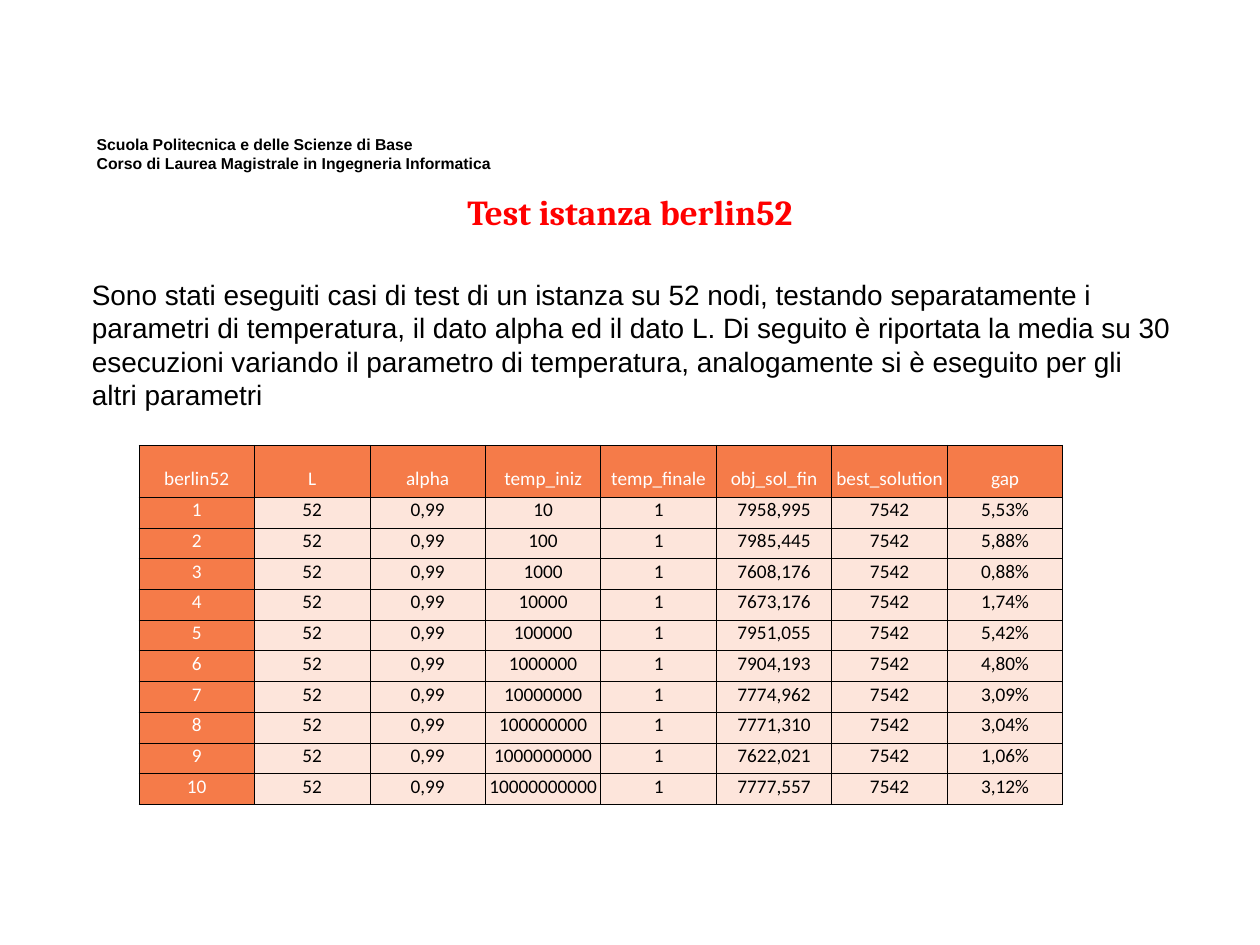
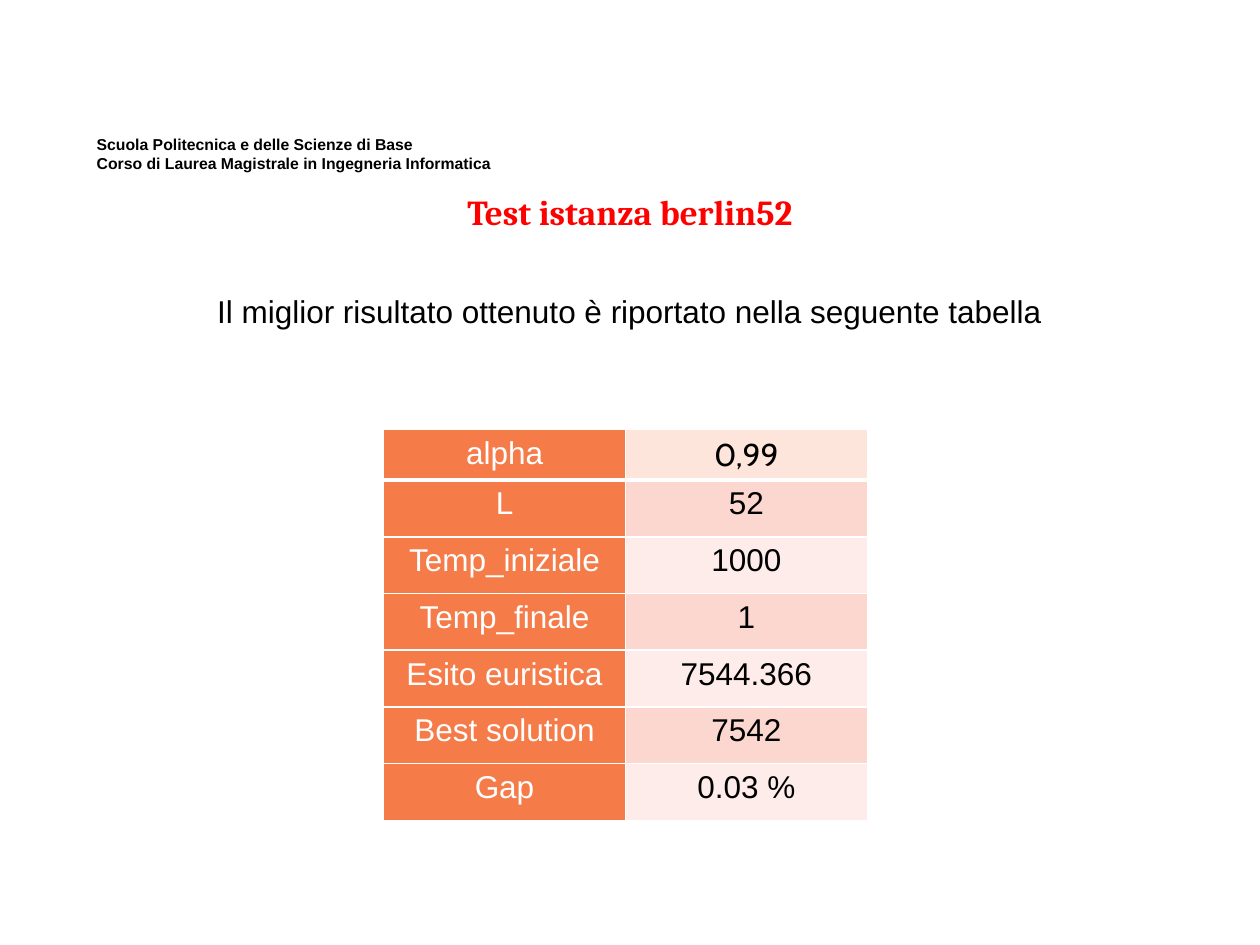
from lxml.etree import SubElement
from pptx import Presentation
from pptx.dml.color import RGBColor
from pptx.enum.text import MSO_ANCHOR as Anchor, PP_ALIGN as Align
from pptx.oxml.ns import qn
from pptx.util import Pt

COLOURS = {
    "title": "FF0000",
    "text": "000000",
    "white": "FFFFFF",
    "orange": "F57B49",
    "peach": "FDE5DB",
    "band_dark": "FBD7D0",
    "band_light": "FDECE9",
}

SCHOOL = ("Scuola Politecnica e delle Scienze di Base\n"
          "Corso di Laurea Magistrale in Ingegneria Informatica")
TITLE = "Test istanza berlin52"

TEST_INTRO = (
    "Sono stati eseguiti casi di test di un istanza su 52 nodi, testando "
    "separatamente i parametri di temperatura, il dato alpha ed il dato L. "
    "Di seguito è riportata la media su 30 esecuzioni variando il parametro "
    "di temperatura, analogamente si è eseguito per gli altri parametri"
)
TEST_HEADINGS = ["berlin52", "L", "alpha", "temp_iniz", "temp_finale",
                 "obj_sol_fin", "best_solution", "gap"]
# Average solution and gap; the starting temperature grows tenfold each row.
TEST_RESULTS = [
    ("7958,995", "5,53%"),
    ("7985,445", "5,88%"),
    ("7608,176", "0,88%"),
    ("7673,176", "1,74%"),
    ("7951,055", "5,42%"),
    ("7904,193", "4,80%"),
    ("7774,962", "3,09%"),
    ("7771,310", "3,04%"),
    ("7622,021", "1,06%"),
    ("7777,557", "3,12%"),
]

BEST_INTRO = "Il miglior risultato ottenuto è riportato nella seguente tabella"
BEST_RESULT = [
    ("alpha", "0,99"),
    ("L", "52"),
    ("Temp_iniziale", "1000"),
    ("Temp_finale", "1"),
    ("Esito euristica", "7544.366"),
    ("Best solution", "7542"),
    ("Gap", "0.03 %"),
]


def rgb(name):
    return RGBColor.from_string(COLOURS[name])


def write(frame, text, size=18, font="Arial", colour="text", bold=False,
          align=Align.LEFT):
    """Fill a text frame, one paragraph per line of text."""
    frame.word_wrap = True
    frame.text = text
    for para in frame.paragraphs:
        para.alignment = align
        for span in para.runs:
            span.font.size = Pt(size)
            span.font.name = font
            span.font.bold = bold
            span.font.color.rgb = rgb(colour)


def add_text(page, text, left, top, width, height, **style):
    box = page.shapes.add_textbox(Pt(left), Pt(top), Pt(width), Pt(height))
    write(box.text_frame, text, **style)


def add_page(deck):
    """Add a slide with the school heading and the shared title."""
    page = deck.slides.add_slide(deck.slide_layouts[5])
    title = page.shapes.title
    title.left, title.top, title.width, title.height = map(Pt, (36, 102.2, 648, 37.4))
    title.text_frame.vertical_anchor = Anchor.MIDDLE
    write(title.text_frame, TITLE, size=20, font="Cambria", colour="title",
          bold=True, align=Align.CENTER)
    add_text(page, SCHOOL, 48.2, 73.4, 300, 28.8, size=9, bold=True)
    return page


def add_grid(page, left, top, column_width, row_heights, column_count):
    """Add an unstyled table with equal columns."""
    table = page.shapes.add_table(
        len(row_heights), column_count, Pt(left), Pt(top),
        Pt(column_width * column_count), Pt(sum(row_heights))).table
    table.first_row = table.horz_banding = False
    for column in table.columns:
        column.width = Pt(column_width)
    for row, height in zip(table.rows, row_heights):
        row.height = Pt(height)
    return table


def format_cell(cell, fill, border, **widths):
    """Draw the borders, with widths by side (L, R, T, B), then the fill."""
    properties = cell._tc.get_or_add_tcPr()
    for side in "LRTB":
        line = SubElement(properties, qn(f"a:ln{side}"), w=str(Pt(widths[side])))
        paint = SubElement(line, qn("a:solidFill"))
        SubElement(paint, qn("a:srgbClr"), val=COLOURS[border])
    cell.fill.solid()
    cell.fill.fore_color.rgb = rgb(fill)


def add_test_page(deck):
    page = add_page(deck)
    add_text(page, TEST_INTRO, 45.4, 154.8, 633, 85, size=16)

    rows = [TEST_HEADINGS]
    for number, (solution, gap) in enumerate(TEST_RESULTS, 1):
        rows.append([str(number), "52", "0,99", str(10 ** number), "1",
                     solution, "7542", gap])
    heights = [29.8] + [17.55] * len(TEST_RESULTS)
    table = add_grid(page, 79.4, 254.4, 66, heights, len(TEST_HEADINGS))
    for r, values in enumerate(rows):
        for c, value in enumerate(values):
            heading = r == 0 or c == 0
            cell = table.cell(r, c)
            cell.vertical_anchor = Anchor.BOTTOM
            cell.margin_left = cell.margin_top = cell.margin_right = Pt(0.6)
            write(cell.text_frame, value, size=11, font="Calibri",
                  colour="white" if heading else "text", align=Align.CENTER)
            format_cell(cell, "orange" if heading else "peach", "text",
                        L=0.5, R=0.5, T=0.5, B=0.5)


def add_best_page(deck):
    page = add_page(deck)
    heights = [28.8] + [32.4] * (len(BEST_RESULT) - 1)
    table = add_grid(page, 219.2, 245.5, 138.2, heights, 2)
    for r, (name, value) in enumerate(BEST_RESULT):
        band = "peach" if r == 0 else ("band_light", "band_dark")[r % 2]
        value_font = "Cabin" if r == 0 else "Arial"
        name_cell, value_cell = table.cell(r, 0), table.cell(r, 1)
        write(name_cell.text_frame, name, colour="white", align=Align.CENTER)
        write(value_cell.text_frame, value, font=value_font, align=Align.CENTER)
        for cell, fill in ((name_cell, "orange"), (value_cell, band)):
            format_cell(cell, fill, "white", L=1, R=1,
                        T=3 if r == 1 else 1, B=3 if r == 0 else 1)
    add_text(page, BEST_INTRO, 38.2, 163.4, 643, 28.8, align=Align.CENTER)


def main():
    deck = Presentation()
    deck.slide_width, deck.slide_height = Pt(720), Pt(540)
    add_test_page(deck)
    add_best_page(deck)
    deck.save("out.pptx")


if __name__ == "__main__":
    main()
